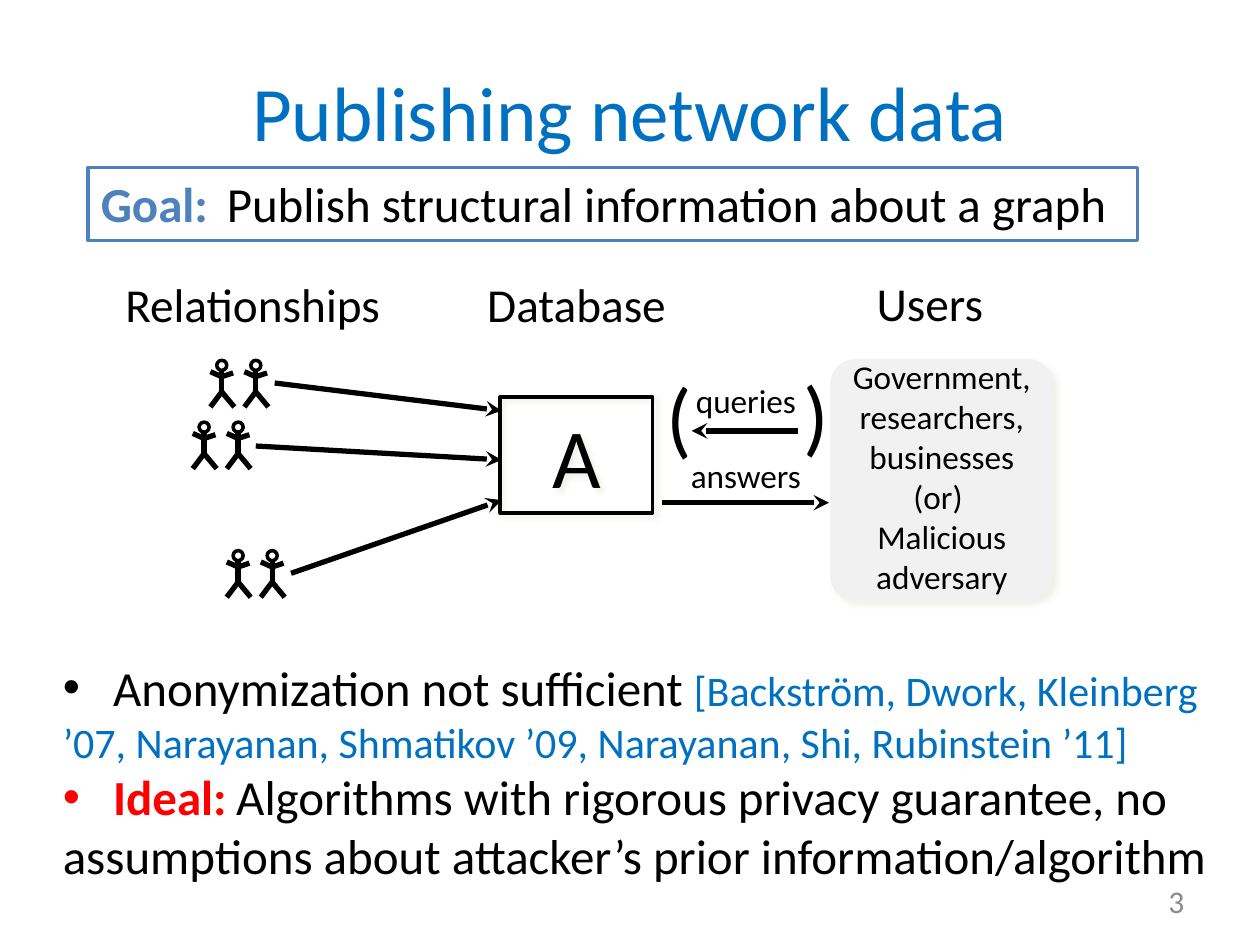
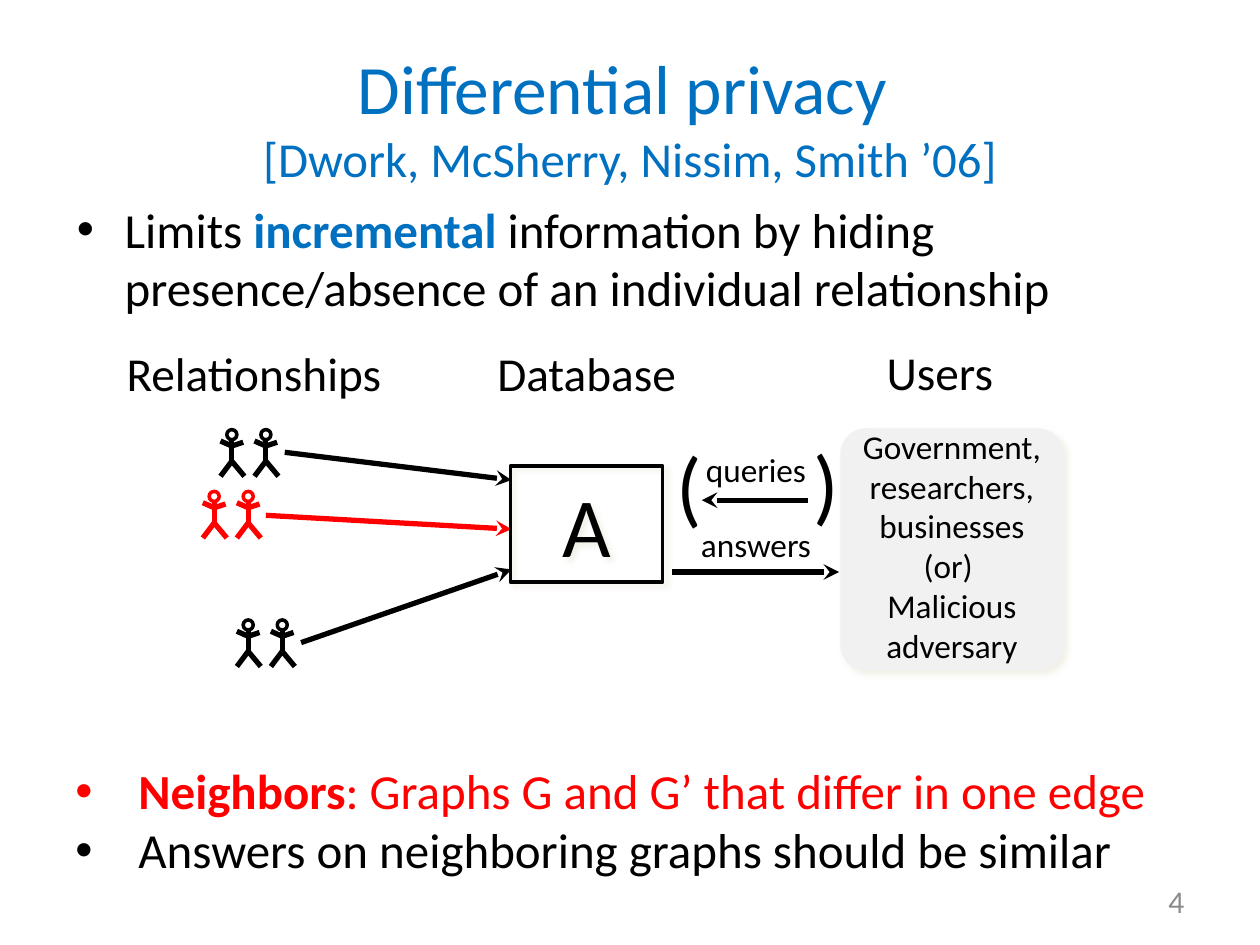
from copy import deepcopy

from lxml import etree
from pptx import Presentation
from pptx.dml import color
from pptx.enum import shapes, text
from pptx.oxml import ns
from pptx.util import Inches, Pt

FONT = "Calibri"
BLACK, BLUE, RED = "000000", "0070C0", "FF0000"
ACCENT, PANEL, SHADOW = "4F81BD", "F1F1F1", "EEECE1"
PERSON_LIMBS = [
    (0.04, 0.08, 0.04, 0.27),
    (0.04, 0.25, 0.14, 0.37),
    (0.04, 0.25, -0.05, 0.37),
    (-0.05, 0.09, 0.04, 0.13),
    (0.04, 0.13, 0.13, 0.1),
]
RELATIONSHIPS = [
    ((0.82, 0.76), (3.08, 1.16, 1.28, 0.94)),
    ((0.68, 1.25), (3.08, 1.55, 1.13, 1.44)),
    ((0.95, 2.27), (3.08, 1.87, 1.41, 2.45)),
]
USERS = ["Government,", "researchers,", "businesses", "(or) ", "Malicious", "adversary"]


def rgb(value):
    return color.RGBColor.from_string(value)


def child(parent, tag, **attrs):
    return etree.SubElement(parent, ns.qn(tag), {k: str(v) for k, v in attrs.items()})


def place(sp, x, y, w, h):
    sp.left, sp.top, sp.width, sp.height = (Inches(v) for v in (x, y, w, h))


def add_run(p, words, size, ink=BLACK, bold=False):
    r = p.add_run()
    r.text = words
    r.font.name, r.font.size, r.font.bold = FONT, Pt(size), bold
    r.font.color.rgb = rgb(ink)


def format_paragraph(p, hang=0, tab=None, bullet=True):
    pPr = p._p.get_or_add_pPr()
    pPr.set("marL", str(Inches(hang)))
    pPr.set("indent", str(-Inches(hang)))
    if bullet:
        child(pPr, "a:buFont", typeface="Arial")
        child(pPr, "a:buChar", char="•")
    else:
        child(pPr, "a:buNone")
    if tab:
        child(child(pPr, "a:tabLst"), "a:tab", pos=Inches(tab), algn="l")
    p.space_before = Pt(0)


def fill_list(sp, items, **layout):
    tf = sp.text_frame
    tf.word_wrap = True
    tf.auto_size = text.MSO_AUTO_SIZE.NONE
    for i, runs in enumerate(items):
        p = tf.add_paragraph() if i else tf.paragraphs[0]
        format_paragraph(p, **layout)
        for run in runs:
            add_run(p, *run)


def add_list(s, box, items, **layout):
    sp = s.shapes.add_textbox(*(Inches(v) for v in box))
    fill_list(sp, items, **layout)


def center_lines(sp, lines, size, inset=0.04):
    tf = sp.text_frame
    tf.word_wrap = False
    tf.vertical_anchor = text.MSO_ANCHOR.MIDDLE
    tf.margin_left = tf.margin_right = tf.margin_top = tf.margin_bottom = Inches(inset)
    for i, line in enumerate(lines):
        p = tf.add_paragraph() if i else tf.paragraphs[0]
        p.alignment = text.PP_ALIGN.CENTER
        add_run(p, line, size)


def add_cast_shadow(sp):
    effects = sp._element.spPr.find(ns.qn("a:effectLst"))
    shadow = child(effects, "a:outerShdw", blurRad=Pt(3), dist=Pt(3),
                   dir=45 * 60000, algn="tl", rotWithShape=0)
    child(child(shadow, "a:srgbClr", val=SHADOW), "a:alpha", val=75000)


class Diagram:
    def __init__(self, s, x, y):
        self.shapes = s.shapes.add_group_shape().shapes
        self.x, self.y = x, y

    def at(self, x, y):
        return Inches(self.x + x), Inches(self.y + y)

    def line(self, x1, y1, x2, y2, ink=BLACK, arrow=False):
        c = self.shapes.add_connector(
            shapes.MSO_CONNECTOR.STRAIGHT, *self.at(x1, y1), *self.at(x2, y2))
        c.line.color.rgb = rgb(ink)
        c.line.width = Pt(3)
        spPr = c._element.spPr
        if arrow:
            child(spPr.find(ns.qn("a:ln")), "a:headEnd", type="stealth")
        child(spPr, "a:effectLst")

    def shape(self, kind, x, y, w, h, line=None, fill=None):
        sp = self.shapes.add_shape(kind, *self.at(x, y), Inches(w), Inches(h))
        sp.shadow.inherit = False
        if fill:
            sp.fill.solid()
            sp.fill.fore_color.rgb = rgb(fill)
        else:
            sp.fill.background()
        if line:
            sp.line.color.rgb = rgb(line)
            sp.line.width = Pt(2)
        else:
            sp.line.fill.background()
        return sp

    def label(self, words, size, x, y, w, h):
        sp = self.shapes.add_textbox(*self.at(x, y), Inches(w), Inches(h))
        center_lines(sp, [words], size)

    def person(self, x, y, ink):
        for x1, y1, x2, y2 in PERSON_LIMBS:
            self.line(x + x1, y + y1, x + x2, y + y2, ink)
        self.shape(shapes.MSO_SHAPE.OVAL, x, y, 0.08, 0.08, line=ink)

    def relationships(self, inks):
        for ((x, y), arrow), ink in zip(RELATIONSHIPS, inks):
            for i in range(2):
                self.person(x + 0.27 * i, y, ink)
            self.line(*arrow, ink, arrow=True)

    def database(self):
        sp = self.shape(shapes.MSO_SHAPE.RECTANGLE, 3.07, 1.05, 1.21, 0.92, line=BLACK)
        add_cast_shadow(sp)
        center_lines(sp, ["A"], 48)

    def exchange(self):
        self.label("(", 48, 4.35, 0.76, 0.23, 0.86)
        self.label(")", 48, 5.44, 0.74, 0.23, 0.87)
        self.label("queries", 19, 4.55, 0.9, 0.94, 0.35)
        self.label("answers", 19, 4.51, 1.51, 1.02, 0.32)
        self.line(4.59, 1.32, 5.43, 1.32, arrow=True)
        self.line(5.68, 1.89, 4.35, 1.89, arrow=True)

    def users(self):
        sp = self.shape(shapes.MSO_SHAPE.ROUNDED_RECTANGLE, 5.69, 0.75, 1.77, 1.92, fill=PANEL)
        sp.adjustments[0] = 0.114
        add_cast_shadow(sp)
        center_lines(sp, USERS, 19, inset=0)
        sp.text_frame.margin_bottom = Inches(0.06)


def add_privacy_diagram(s, x, y, inks, heading_x):
    d = Diagram(s, x, y)
    d.label("Relationships", 27, heading_x - x, 0.05, 2.21, 0.52)
    d.label("Database", 27, 2.42, 0.04, 2.51, 0.54)
    d.label("Users", 27, 5.93, 0.07, 1.1, 0.46)
    d.relationships(inks)
    d.database()
    d.exchange()
    d.users()


def new_slide(prs, title_top, title_lines):
    layout = prs.slide_layouts[1]
    s = prs.slides.add_slide(layout)
    place(s.shapes.title, 0.5, title_top, 9, 1.25)
    tf = s.shapes.title.text_frame
    tf.word_wrap = True
    tf.auto_size = text.MSO_AUTO_SIZE.NONE
    tf.vertical_anchor = text.MSO_ANCHOR.MIDDLE
    p = tf.paragraphs[0]
    p.alignment = text.PP_ALIGN.CENTER
    for i, (words, size) in enumerate(title_lines):
        if i:
            p.add_line_break()
        add_run(p, words, size, BLUE)
    for ph in layout.placeholders:
        if ph.placeholder_format.type == shapes.PP_PLACEHOLDER.SLIDE_NUMBER:
            s.shapes._spTree.append(deepcopy(ph._element))
    return s, s.placeholders[1]


def publishing_slide(prs):
    s, goal = new_slide(prs, 0.25, [("Publishing network data", 44)])
    place(goal, 0.7, 1.33, 8.33, 0.58)
    goal.line.color.rgb = rgb(ACCENT)
    goal.line.width = Pt(2)
    fill_list(goal, [[("Goal:\t", 28, ACCENT, True),
                      ("Publish structural information about a graph", 28)]],
              tab=1.01, bullet=False)
    add_privacy_diagram(s, 0.9, 2.1, [BLACK] * 3, 0.9)
    add_list(s, (0.4, 5.17, 9.6, 2.2), [
        [("\tAnonymization not sufficient ", 28),
         ("[Backström, Dwork, Kleinberg ’07, Narayanan, Shmatikov ’09, "
          "Narayanan, Shi, Rubinstein ’11]", 24, BLUE)],
        [("\tIdeal:", 28, RED, True), (" ", 24, BLUE),
         ("Algorithms with rigorous privacy guarantee, no assumptions about "
          "attacker’s prior information/algorithm", 28)],
    ], tab=0.4)


def differential_slide(prs):
    s, body = new_slide(prs, 0.3, [("Differential privacy ", 39.6),
                                   ("[Dwork, McSherry, Nissim, Smith ’06]", 27.9)])
    place(body, 0.51, 1.53, 9.33, 1.17)
    fill_list(body, [[("Limits ", 28), ("incremental ", 28, BLUE, True),
                      ("information by hiding presence/absence of an individual relationship", 28)]],
              hang=0.38)
    add_privacy_diagram(s, 0.98, 2.65, [BLACK, RED, BLACK], 0.91)
    add_list(s, (0.5, 5.99, 8.75, 1.04), [
        [("Neighbors", 28, RED, True),
         (": Graphs G and G’ that differ in one edge", 28, RED)],
        [("Answers on neighboring graphs should be similar", 28)],
    ], hang=0.5)


def main():
    prs = Presentation()
    prs.slide_width, prs.slide_height = Inches(10), Inches(7.5)
    prs.element.set("firstSlideNum", "3")
    publishing_slide(prs)
    differential_slide(prs)
    prs.save("out.pptx")


if __name__ == "__main__":
    main()
